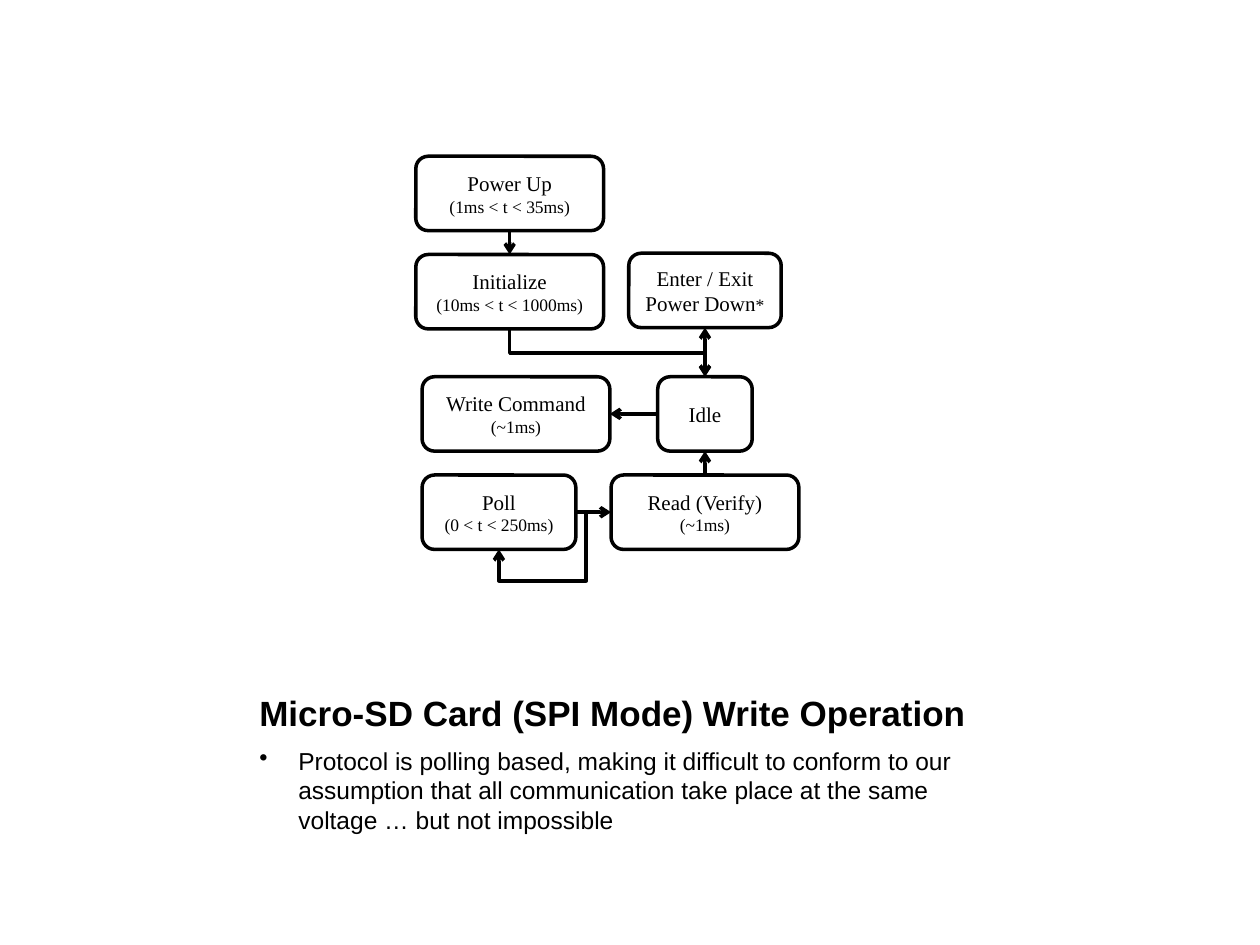
from dataclasses import dataclass

from lxml import etree
from pptx import Presentation
from pptx import util as u
from pptx.dml import color
from pptx.enum import shapes, text
from pptx.oxml import ns

TOP, LEFT, BOTTOM, RIGHT = range(4)


@dataclass(frozen=True)
class Theme:
    ink: color.RGBColor = color.RGBColor(0, 0, 0)
    paper: color.RGBColor = color.RGBColor(255, 255, 255)
    heading_font: str = "Arial"
    diagram_font: str = "Times New Roman"
    title_size: int = 20
    body_size: int = 14
    label_size: int = 12
    note_size: int = 10
    line_width: int = 2


class SlideBuilder:
    columns, rows = 100, 75

    def __init__(self, presentation, theme):
        self.theme = theme
        self.slide = presentation.slides.add_slide(presentation.slide_layouts[6])
        self.column = presentation.slide_width / self.columns
        self.row = presentation.slide_height / self.rows

    def place(self, column, row):
        return u.Emu(round(column * self.column)), u.Emu(round(row * self.row))

    def format_run(self, run, font, size, bold=False):
        run.font.name = font
        run.font.size = u.Pt(size)
        run.font.bold = bold
        run.font.color.rgb = self.theme.ink

    def text_box(self, wording, column, row, width, height, size, bold=False,
                 anchor=text.MSO_ANCHOR.TOP, bullet=None):
        shape = self.slide.shapes.add_textbox(
            *self.place(column, row), *self.place(width, height))
        frame = shape.text_frame
        frame.word_wrap = True
        frame.vertical_anchor = anchor
        frame.text = wording
        paragraph = frame.paragraphs[0]
        if bullet:
            properties = paragraph._p.get_or_add_pPr()
            indent = u.Inches(0.31)
            properties.set("marL", str(indent))
            properties.set("indent", str(-indent))
            etree.SubElement(properties, ns.qn("a:buChar")).set("char", bullet)
        self.format_run(paragraph.runs[0], self.theme.heading_font, size, bold)

    def state(self, column, row, width, label, note="", same_line=False):
        theme = self.theme
        shape = self.slide.shapes.add_shape(
            shapes.MSO_SHAPE.FLOWCHART_ALTERNATE_PROCESS,
            *self.place(column, row), *self.place(width, 5.9))
        shape.shadow.inherit = False
        shape.fill.solid()
        shape.fill.fore_color.rgb = theme.paper
        shape.line.color.rgb = theme.ink
        shape.line.width = u.Pt(theme.line_width)
        frame = shape.text_frame
        frame.word_wrap = True
        frame.vertical_anchor = text.MSO_ANCHOR.MIDDLE
        frame.margin_left = frame.margin_right = u.Inches(0.05)
        frame.text = label
        paragraph = frame.paragraphs[0]
        self.format_run(paragraph.runs[0], theme.diagram_font, theme.label_size)
        if note:
            holder = paragraph if same_line else frame.add_paragraph()
            run = holder.add_run()
            run.text = note
            self.format_run(run, theme.diagram_font, theme.note_size)
        for paragraph in frame.paragraphs:
            paragraph.alignment = text.PP_ALIGN.CENTER
        return shape

    def connector(self, kind, begin, end, both_ends=False):
        connector = self.slide.shapes.add_connector(kind, *begin, *end)
        connector.line.color.rgb = self.theme.ink
        connector.line.width = u.Pt(self.theme.line_width)
        line = connector.line._get_or_add_ln()
        for tag in ("a:headEnd", "a:tailEnd") if both_ends else ("a:tailEnd",):
            etree.SubElement(line, ns.qn(tag)).set("type", "arrow")
        etree.SubElement(connector._element.spPr, ns.qn("a:effectLst"))
        return connector

    def arrow(self, source, source_side, target, target_side, both_ends=False):
        connector = self.connector(
            shapes.MSO_CONNECTOR.STRAIGHT, (0, 0), (0, 0), both_ends)
        connector.begin_connect(source, source_side)
        connector.end_connect(target, target_side)

    def drop_elbow(self, source, target):
        x, y = source.left + source.width // 2, source.top + source.height
        run, drop = target.left + target.width // 2 - x, target.top - y
        middle_x, middle_y = x + run // 2, y + drop // 2
        connector = self.connector(
            shapes.MSO_CONNECTOR.ELBOW,
            (middle_x + drop // 2, middle_y - run // 2),
            (middle_x - drop // 2, middle_y + run // 2))
        connector._element.spPr.find(ns.qn("a:xfrm")).set("rot", str(270 * 60000))

    def self_loop(self, shape):
        connector = self.connector(
            shapes.MSO_CONNECTOR.ELBOW,
            (shape.left + shape.width, shape.top + shape.height // 2),
            (shape.left + shape.width // 2, shape.top + shape.height))
        geometry = connector._element.spPr.find(ns.qn("a:prstGeom"))
        geometry.set("prst", "bentConnector4")
        adjustments = geometry.get_or_add_avLst()
        for name, share in (("adj1", -13700), ("adj2", 184700)):
            guide = etree.SubElement(adjustments, ns.qn("a:gd"))
            guide.set("name", name)
            guide.set("fmla", f"val {share}")


def main():
    presentation = Presentation()
    presentation.slide_width, presentation.slide_height = u.Inches(10), u.Inches(7.5)
    theme = Theme()
    builder = SlideBuilder(presentation, theme)

    builder.text_box("Micro-SD Card (SPI Mode) Write Operation", 19.6, 52.5, 60, 6.2,
                     theme.title_size, bold=True, anchor=text.MSO_ANCHOR.BOTTOM)
    builder.text_box(
        "Protocol is polling based, making it difficult to conform to our assumption "
        "that all communication take place at the same voltage … but not impossible",
        19.6, 58.7, 60, 8.8, theme.body_size, bullet="•")

    wide = 14.9
    power_up = builder.state(33, 12.4, wide, "Power Up", "(1ms < t < 35ms)")
    initialize = builder.state(33, 20.2, wide, "Initialize", "(10ms < t < 1000ms)")
    power_down = builder.state(49.9, 20.1, 12.1, "Enter / Exit Power Down", "*",
                               same_line=True)
    write = builder.state(33.5, 29.9, wide, "Write Command", "(~1ms)")
    idle = builder.state(52.2, 29.9, 7.5, "Idle")
    poll = builder.state(33.5, 37.7, 12.2, "Poll", "(0 < t < 250ms)")
    read = builder.state(48.5, 37.7, wide, "Read (Verify)", "(~1ms)")

    builder.arrow(power_up, BOTTOM, initialize, TOP)
    builder.drop_elbow(initialize, idle)
    builder.arrow(power_down, BOTTOM, idle, TOP, both_ends=True)
    builder.arrow(idle, LEFT, write, RIGHT)
    builder.arrow(poll, RIGHT, read, LEFT)
    builder.self_loop(poll)
    builder.arrow(read, TOP, idle, BOTTOM)

    presentation.save("out.pptx")


if __name__ == "__main__":
    main()
